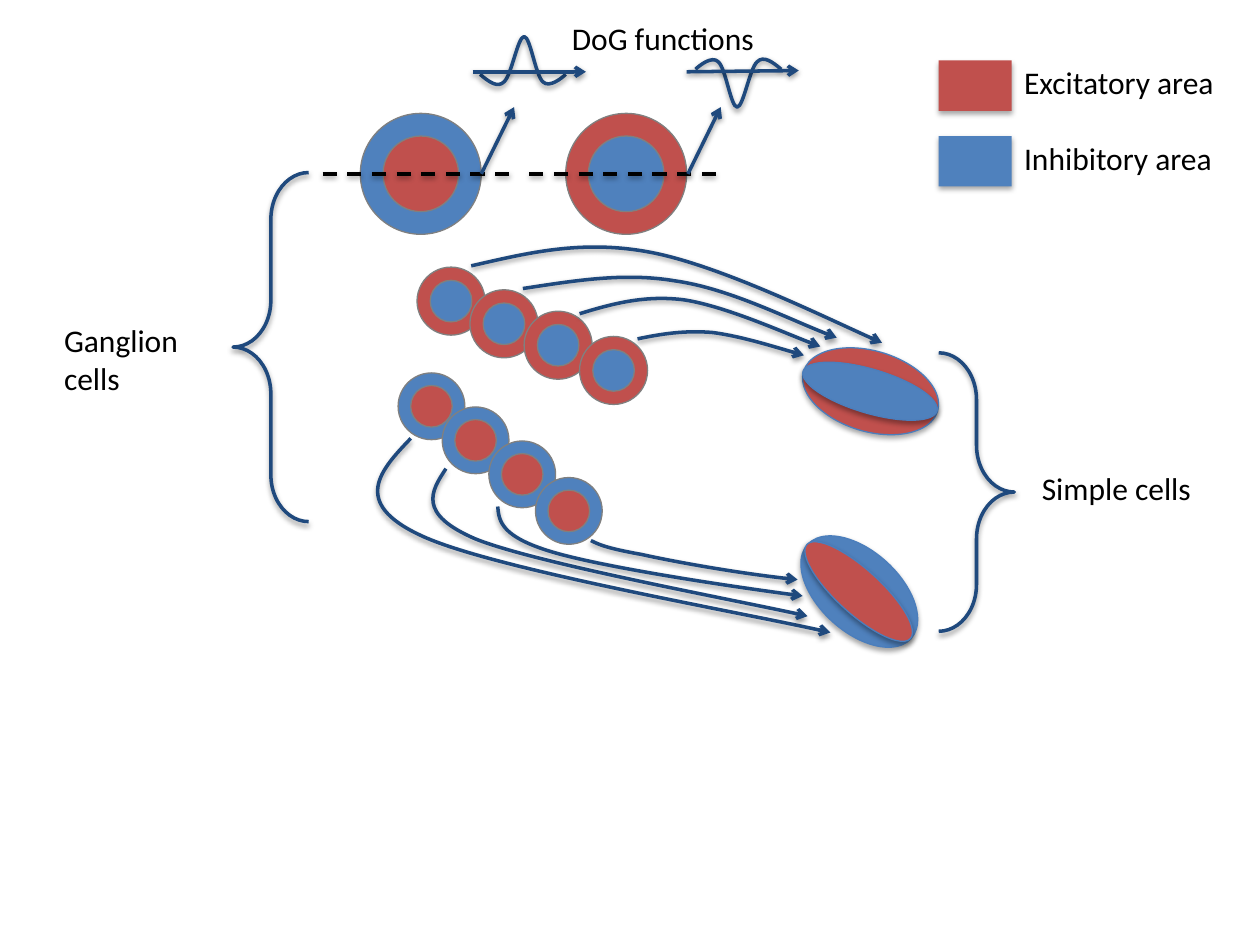
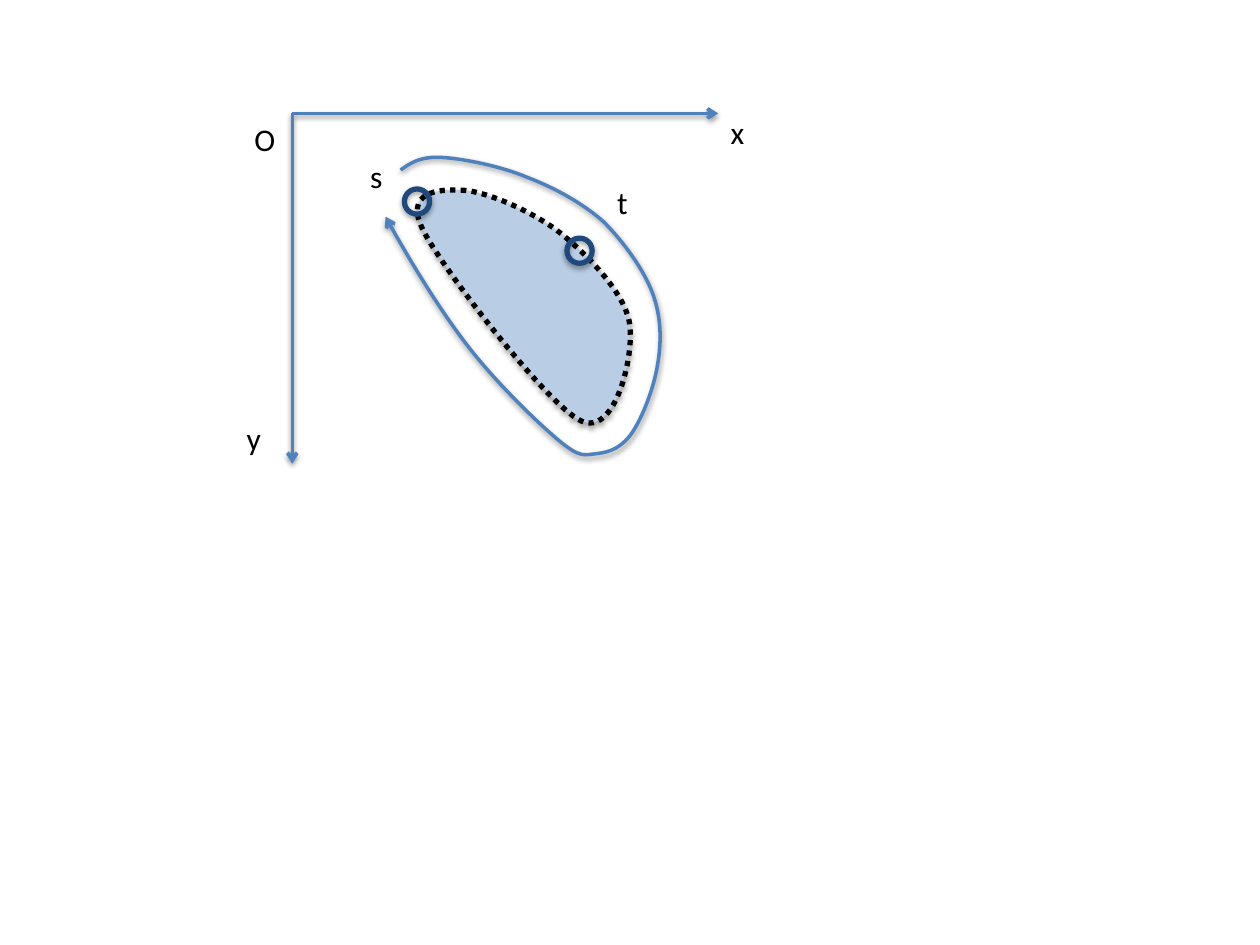
from lxml import etree
from pptx import Presentation
from pptx.dml.color import RGBColor
from pptx.enum.dml import MSO_LINE
from pptx.enum.shapes import MSO_CONNECTOR, MSO_SHAPE
from pptx.enum.text import MSO_AUTO_SIZE
from pptx.oxml.ns import qn
from pptx.util import Inches, Pt

RED = RGBColor(0xC0, 0x50, 0x4D)
BLUE = RGBColor(0x4F, 0x81, 0xBD)
EDGE_BLUE = RGBColor(0x4B, 0x7E, 0xBC)
PALE_BLUE = RGBColor(0xB9, 0xCD, 0xE5)
NAVY = RGBColor(0x1F, 0x49, 0x7D)
GRAY = RGBColor(0x80, 0x80, 0x80)
BLACK = RGBColor(0, 0, 0)
FONT = "Calibri"
STRAIGHT = MSO_CONNECTOR.STRAIGHT
OVAL, RECT, BRACE = MSO_SHAPE.OVAL, MSO_SHAPE.RECTANGLE, MSO_SHAPE.LEFT_BRACE
DASH, DOT = MSO_LINE.DASH, MSO_LINE.ROUND_DOT
FIT = MSO_AUTO_SIZE.SHAPE_TO_FIT_TEXT


def style(sp, fill=None, color=None, width=2, dash=None, arrow=False, shadow=True):
    if hasattr(sp, "fill"):
        if fill is None:
            sp.fill.background()
        else:
            sp.fill.solid()
            sp.fill.fore_color.rgb = fill
    if color is None:
        sp.line.fill.background()
    else:
        sp.line.color.rgb = color
        sp.line.width = Pt(width)
    if dash is not None:
        sp.line.dash_style = dash
    spPr = sp._element.spPr
    if arrow:
        etree.SubElement(spPr.find(qn("a:ln")), qn("a:tailEnd"), type="arrow")
    effects = etree.SubElement(spPr, qn("a:effectLst"))
    if shadow:
        alpha, dist = ("35000", 1.8) if fill is not None else ("38000", 1.6)
        outer = etree.SubElement(effects, qn("a:outerShdw"), blurRad=str(Pt(3.1)),
                                 dist=str(Pt(dist)), dir="5400000", rotWithShape="0")
        black = etree.SubElement(outer, qn("a:srgbClr"), val="000000")
        etree.SubElement(black, qn("a:alpha"), val=alpha)


def add_curve(s, points, close=False):
    start, *rest = [(Inches(x), Inches(y)) for x, y in points]
    builder = s.shapes.build_freeform(*start)
    builder.add_line_segments(rest, close=close)
    sp = builder.convert_to_shape()
    segments = list(sp._element.iter(qn("a:lnTo")))
    for i in range(0, len(segments), 3):
        bezier = etree.Element(qn("a:cubicBezTo"))
        segments[i].addprevious(bezier)
        for segment in segments[i:i + 3]:
            bezier.append(segment[0])
            segment.getparent().remove(segment)
    return sp


prs = Presentation()
prs.slide_width, prs.slide_height = Inches(10), Inches(7.5)
cells, contour = [prs.slides.add_slide(prs.slide_layouts[6]) for _ in range(2)]

RINGS = [
    (BLUE, RED, 0.96, 0.6, [(2.86, 0.9)]),
    (RED, BLUE, 0.96, 0.6, [(4.49, 0.9)]),
    (RED, BLUE, 0.54, 0.33, [(3.31, 2.12), (3.73, 2.3), (4.16, 2.47), (4.6, 2.67)]),
    (BLUE, RED, 0.53, 0.33, [(3.16, 2.96), (3.51, 3.23), (3.88, 3.5), (4.25, 3.79)]),
]
for outer, inner, size, core, places in RINGS:
    for x, y in places:
        for fill, d in ((outer, size), (inner, core)):
            inset = (size - d) / 2
            sp = cells.shapes.add_shape(OVAL, Inches(x + inset), Inches(y + inset),
                                        Inches(d), Inches(d))
            style(sp, fill, GRAY, 0.75, shadow=False)

WAVE = [(3.81, 0.59), (3.88, 0.65), (3.95, 0.7), (4, 0.65), (4.06, 0.6), (4.11, 0.29),
        (4.16, 0.29), (4.21, 0.29), (4.25, 0.6), (4.31, 0.65), (4.36, 0.7),
        (4.46, 0.62), (4.49, 0.59)]
for points in (WAVE, [(10.01 - x, 1.14 - y) for x, y in WAVE]):
    style(add_curve(cells, points), color=NAVY)

LINES = [
    (cells, 2.56, 1.38, 4.08, 1.38, BLACK, DASH),
    (cells, 4.2, 1.38, 5.72, 1.38, BLACK, DASH),
    (cells, 3.75, 0.57, 4.65, 0.57, NAVY, None),
    (cells, 5.45, 0.57, 6.34, 0.56, NAVY, None),
    (cells, 3.82, 1.38, 4.08, 0.85, NAVY, None),
    (cells, 5.46, 1.38, 5.72, 0.85, NAVY, None),
    (contour, 2.32, 0.9, 5.7, 0.9, BLUE, None),
    (contour, 2.32, 0.9, 2.32, 3.68, BLUE, None),
]
for s, x1, y1, x2, y2, color, dash in LINES:
    line = s.shapes.add_connector(STRAIGHT, Inches(x1), Inches(y1), Inches(x2), Inches(y2))
    style(line, color=color, dash=dash, arrow=dash is None)

for x, y, h, angle in ((1.85, 1.37, 2.77, 0), (7.45, 2.8, 2.21, 180)):
    sp = cells.shapes.add_shape(BRACE, Inches(x), Inches(y), Inches(0.6), Inches(h))
    sp.adjustments[0] = 0.62
    sp.rotation = angle
    style(sp, color=NAVY)

PATHWAYS = [
    [(3.74, 2.11), (4.18, 2.01), (4.61, 1.9), (5.15, 2), (5.7, 2.1), (6.65, 2.57), (7, 2.72)],
    [(4.15, 2.29), (4.55, 2.23), (4.95, 2.16), (5.36, 2.23), (5.78, 2.29), (6.29, 2.55), (6.64, 2.68)],
    [(4.6, 2.49), (4.86, 2.41), (5.12, 2.34), (5.43, 2.38), (5.75, 2.43), (6.29, 2.67), (6.51, 2.75)],
    [(5.06, 2.69), (5.25, 2.65), (5.44, 2.62), (5.66, 2.64), (5.88, 2.67), (6.17, 2.76), (6.38, 2.82)],
    [(3.26, 3.48), (3.02, 3.73), (2.78, 3.99), (3.34, 4.25), (3.89, 4.51), (5.94, 4.87), (6.59, 5.02)],
    [(3.54, 3.72), (3.42, 3.9), (3.31, 4.08), (3.78, 4.28), (4.26, 4.47), (5.88, 4.77), (6.41, 4.89)],
    [(3.95, 4.02), (3.96, 4.14), (3.98, 4.26), (4.38, 4.38), (4.78, 4.5), (5.83, 4.66), (6.37, 4.73)],
    [(4.69, 4.29), (4.75, 4.32), (4.81, 4.35), (5.09, 4.4), (5.36, 4.46), (5.92, 4.56), (6.33, 4.6)],
]
for points in PATHWAYS:
    style(add_curve(cells, points), color=NAVY, arrow=True)

for x, y, angle, outer, inner in ((6.59, 2.55, 286.5, RED, BLUE), (6.5, 4.14, 312.3, BLUE, RED)):
    for fill, inset, w in ((outer, 0, 0.64), (inner, 0.14, 0.35)):
        sp = cells.shapes.add_shape(OVAL, Inches(x + inset), Inches(y), Inches(w), Inches(1.11))
        sp.rotation = angle
        style(sp, fill, EDGE_BLUE, 0.75)

for y, fill in ((0.48, RED), (1.08, BLUE)):
    sp = cells.shapes.add_shape(RECT, Inches(7.45), Inches(y), Inches(0.58), Inches(0.4))
    style(sp, fill)

REGION = [(3.66, 1.51), (3.84, 1.51), (4.24, 1.68), (4.46, 1.86), (4.68, 2.04), (4.98, 2.35),
          (5, 2.59), (5.03, 2.84), (4.88, 3.47), (4.61, 3.34), (4.34, 3.21), (3.51, 2.13),
          (3.36, 1.83), (3.2, 1.52), (3.48, 1.5), (3.66, 1.51)]
style(add_curve(contour, REGION, close=True), PALE_BLUE, BLACK, 3, DOT)

for x, y in ((3.21, 1.5), (4.5, 1.89)):
    sp = contour.shapes.add_shape(OVAL, Inches(x), Inches(y), Inches(0.2), Inches(0.2))
    style(sp, color=NAVY, width=3)

TRAVERSAL = [(3.18, 1.35), (3.26, 1.29), (3.34, 1.24), (3.51, 1.25), (3.68, 1.26), (3.98, 1.32),
             (4.19, 1.41), (4.4, 1.49), (4.62, 1.61), (4.79, 1.76), (4.95, 1.92), (5.11, 2.14),
             (5.18, 2.33), (5.25, 2.52), (5.25, 2.71), (5.22, 2.89), (5.19, 3.08), (5.1, 3.31),
             (5.02, 3.43), (4.94, 3.55), (4.84, 3.59), (4.74, 3.6), (4.64, 3.61), (4.61, 3.64),
             (4.44, 3.5), (4.26, 3.35), (3.93, 3.03), (3.7, 2.73), (3.47, 2.43), (3.19, 1.96),
             (3.06, 1.72)]
style(add_curve(contour, TRAVERSAL), color=BLUE, arrow=True)

LABELS = [
    (cells, ["Ganglion", "cells"], 0.41, 2.5, 1.12, 0.71, 0),
    (cells, ["DoG functions"], 4.44, 0.1, 1.66, 0.4, 0),
    (cells, ["Simple cells"], 8.17, 3.67, 1.4, 0.4, 0),
    (cells, ["Excitatory area", "Inhibitory area"], 8.03, 0.45, 1.74, 1.01, 22),
    (contour, ["x"], 5.7, 0.85, 0.31, 0.4, 0),
    (contour, ["y"], 1.86, 3.28, 0.32, 0.4, 0),
    (contour, ["s"], 2.84, 1.2, 0.3, 0.4, 0),
    (contour, ["t"], 4.8, 1.4, 0.29, 0.4, 0),
    (contour, ["O"], 1.92, 0.9, 0.37, 0.4, 0),
]
for s, texts, x, y, w, h, gap in LABELS:
    tf = s.shapes.add_textbox(Inches(x), Inches(y), Inches(w), Inches(h)).text_frame
    tf.word_wrap = False
    tf.auto_size = FIT
    for i, text in enumerate(texts):
        p = tf.add_paragraph() if i else tf.paragraphs[0]
        p.text = text
        p.font.name, p.font.size = FONT, Pt(18)
        p.font.color.rgb = BLACK
        if i:
            p.space_before = Pt(gap)

prs.save("out.pptx")
